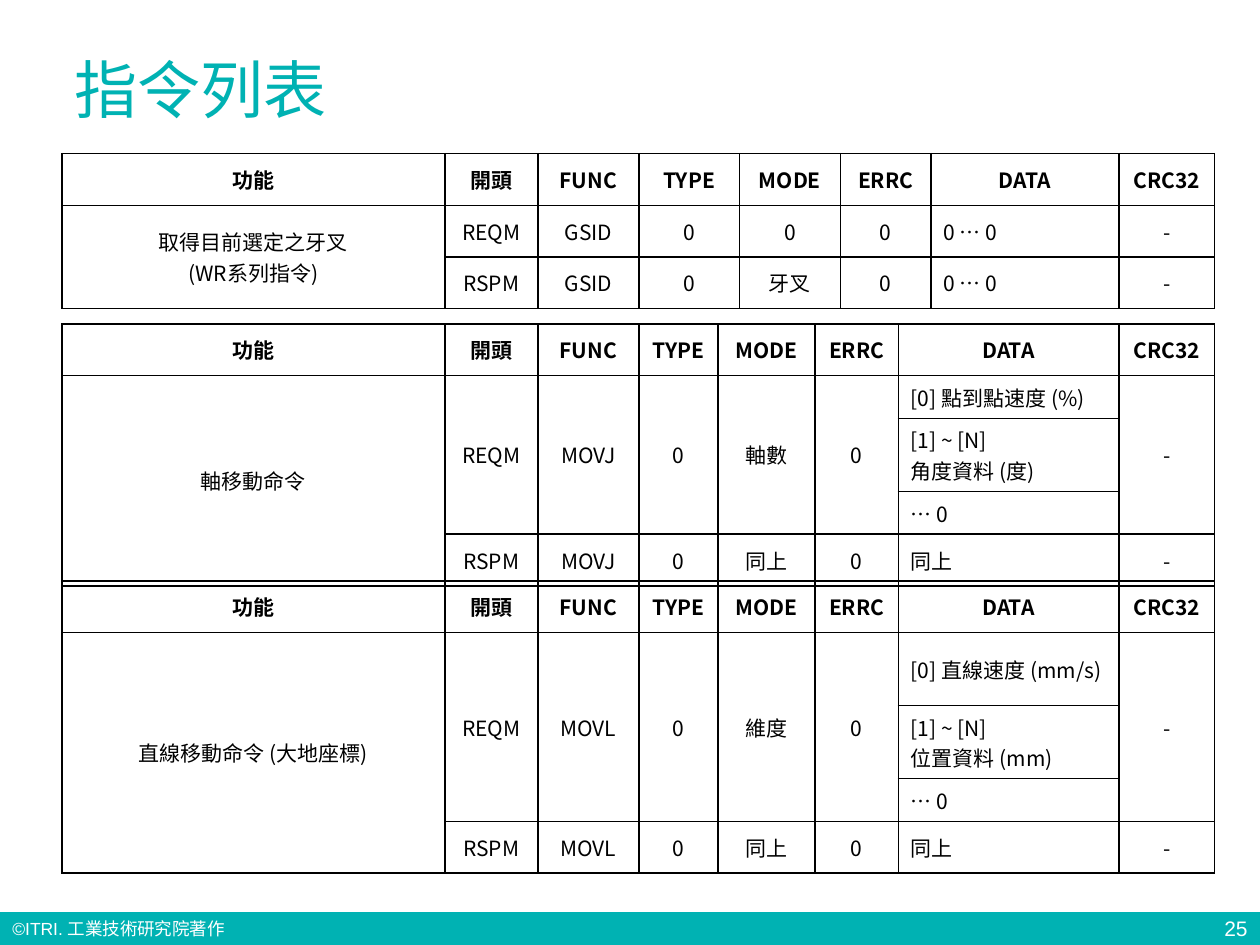
from lxml.etree import SubElement
from pptx import Presentation
from pptx.dml.color import RGBColor
from pptx.enum.shapes import MSO_SHAPE
from pptx.enum.text import MSO_ANCHOR, PP_ALIGN
from pptx.oxml.ns import qn
from pptx.util import Inches, Pt

TEAL, WHITE, BLACK = "00B2B3", "FFFFFF", "000000"
TABLE_FONT = "Noto Sans CJK SC"
HEADER = ["功能", "開頭", "FUNC", "TYPE", "MODE", "ERRC", "DATA", "CRC32"]
DATA_COLUMN = HEADER.index("DATA")
SELECT_WIDTHS = [3.04, 0.74, 0.8, 0.8, 0.8, 0.72, 1.49, 0.76]
MOVE_WIDTHS = [3.04, 0.74, 0.8, 0.63, 0.77, 0.66, 1.75, 0.76]


def color(value):
    return RGBColor.from_string(value)


def style_text(text_frame, size, font, font_color, align=PP_ALIGN.LEFT, bold=False):
    for paragraph in text_frame.paragraphs:
        paragraph.alignment = align
        for run in paragraph.runs:
            run.font.size = Pt(size)
            run.font.name = font
            run.font.bold = bold
            run.font.color.rgb = color(font_color)


def add_text(slide, box, text, size, font_color, align=PP_ALIGN.LEFT, anchor=MSO_ANCHOR.TOP):
    shape = slide.shapes.add_textbox(*map(Inches, box))
    text_frame = shape.text_frame
    text_frame.word_wrap = True
    text_frame.vertical_anchor = anchor
    text_frame.text = text
    style_text(text_frame, size, "Arial", font_color, align)


def add_footer(slide, left, top, width, height):
    bar = slide.shapes.add_shape(
        MSO_SHAPE.RECTANGLE, *map(Inches, (left, top, width, height)))
    bar.shadow.inherit = False
    bar.fill.solid()
    bar.fill.fore_color.rgb = color(TEAL)
    bar.line.fill.background()
    add_text(slide, (left, top, 3.9, height), "©ITRI. 工業技術研究院著作", 10, WHITE)
    number_width = 0.62
    add_text(slide, (left + width - number_width, top, number_width, height),
             "25", 12, WHITE, PP_ALIGN.RIGHT, MSO_ANCHOR.MIDDLE)


def set_borders(cell):
    properties = cell._tc.get_or_add_tcPr()
    for side in ("lnL", "lnR", "lnT", "lnB"):
        line = SubElement(properties, qn(f"a:{side}"), w=str(Pt(1)))
        fill = SubElement(line, qn("a:solidFill"))
        SubElement(fill, qn("a:srgbClr"), val=BLACK)


def add_command_table(slide, left, top, widths, heights, rows, merges):
    frame = slide.shapes.add_table(
        len(heights), len(widths), Inches(left), Inches(top),
        Inches(sum(widths)), Inches(sum(heights)))
    table = frame.table
    table.first_row = table.horz_banding = False
    for column, width in zip(table.columns, widths):
        column.width = Inches(width)
    for row, height in zip(table.rows, heights):
        row.height = Inches(height)
    for row_index, texts in enumerate([HEADER] + rows):
        is_header = row_index == 0
        for column_index, text in enumerate(texts):
            cell = table.cell(row_index, column_index)
            set_borders(cell)
            cell.fill.background()
            cell.vertical_anchor = MSO_ANCHOR.MIDDLE
            cell.text_frame.text = text
            is_data = column_index == DATA_COLUMN and not is_header
            align = PP_ALIGN.LEFT if is_data else PP_ALIGN.CENTER
            style_text(cell.text_frame, 12, TABLE_FONT, BLACK, align, is_header)
    for column_index, last_row in merges:
        table.cell(1, column_index).merge(table.cell(last_row, column_index))


def add_select_table(slide, left, top):
    rows = [
        ["取得目前選定之牙叉\n(WR系列指令)", "REQM", "GSID", "0", "0", "0", "0 … 0", "-"],
        ["", "RSPM", "GSID", "0", "牙叉", "0", "0 … 0", "-"],
    ]
    add_command_table(slide, left, top, SELECT_WIDTHS, [0.41] * 3, rows, [(0, 2)])


def add_move_table(slide, left, top, title, function, mode, speed, values, speed_height):
    def data_only(text):
        return ["" if name != "DATA" else text for name in HEADER]

    rows = [
        [title, "REQM", function, "0", mode, "0", f"[0] {speed}", "-"],
        data_only(f"[1] ~ [N]\n{values}"),
        data_only("… 0"),
        ["", "RSPM", function, "0", "同上", "0", "同上", "-"],
    ]
    merges = [(0, 4)] + [(index, 3) for index in range(1, len(HEADER))
                         if index != DATA_COLUMN]
    heights = [0.41, speed_height, 0.58, 0.34, 0.41]
    add_command_table(slide, left, top, MOVE_WIDTHS, heights, rows, merges)


def main():
    presentation = Presentation()
    presentation.slide_width = Inches(10)
    presentation.slide_height = Inches(7.5)
    slide = presentation.slides.add_slide(presentation.slide_layouts[6])
    left = 0.49
    add_footer(slide, 0, 7.24, 10, 0.26)
    add_text(slide, (left, 0.35, 9.15, 0.97), "指令列表", 36, TEAL)
    add_select_table(slide, left, 1.22)
    add_move_table(slide, left, 2.57, "軸移動命令", "MOVJ", "軸數",
                   "點到點速度 (%)", "角度資料 (度)", 0.34)
    add_move_table(slide, left, 4.61, "直線移動命令 (大地座標)", "MOVL", "維度",
                   "直線速度 (mm/s)", "位置資料 (mm)", 0.58)
    presentation.save("out.pptx")


if __name__ == "__main__":
    main()
